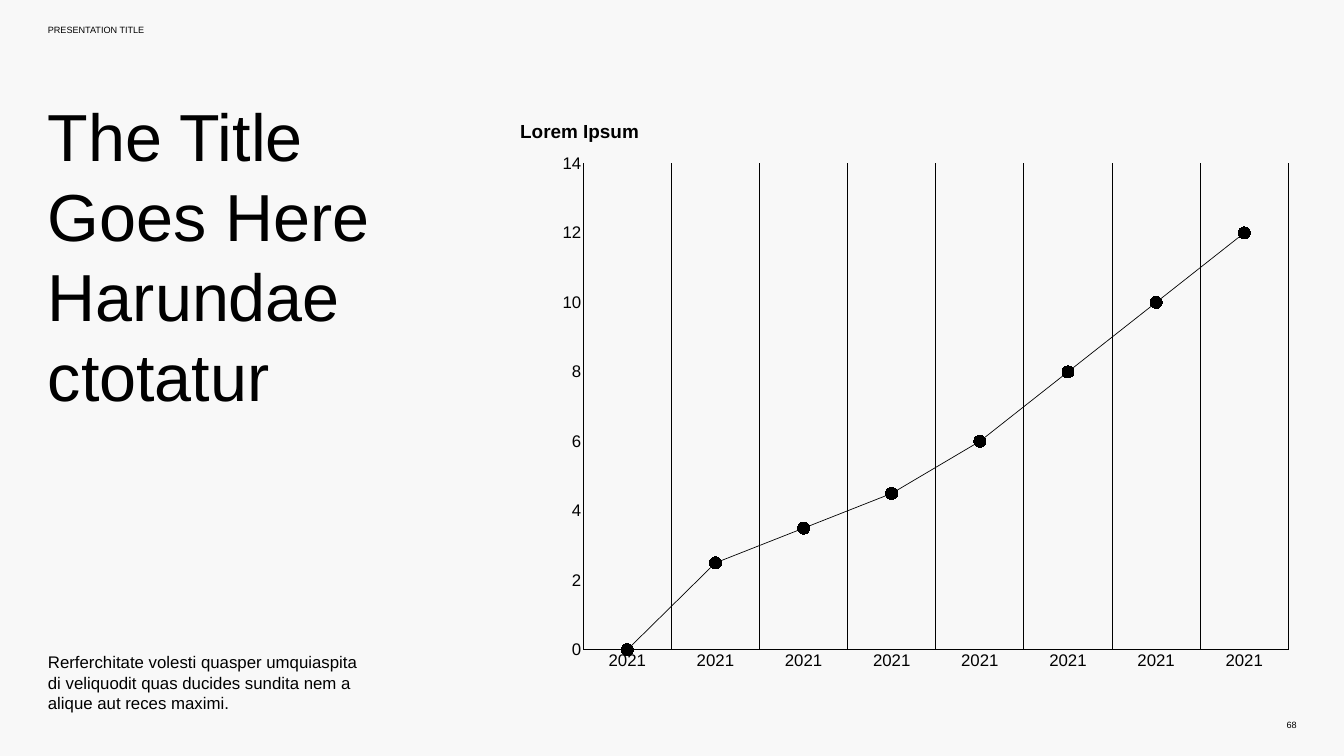
from dataclasses import dataclass

from lxml import etree
from pptx import Presentation
from pptx import util as u
from pptx.chart import data as chart_data
from pptx.dml import color
from pptx.enum import chart as charts, text
from pptx.oxml import ns


@dataclass(frozen=True)
class Theme:
    font: str = "Arial"
    ink: color.RGBColor = color.RGBColor(0, 0, 0)
    paper: color.RGBColor = color.RGBColor(0xF8, 0xF8, 0xF8)
    title: int = 95
    heading: int = 27
    body: int = 24
    small: int = 13


class SlideBuilder:
    def __init__(self, slide, theme):
        self.slide = slide
        self.theme = theme
        fill = slide.background.fill
        fill.solid()
        fill.fore_color.rgb = theme.paper

    def style_font(self, font, size, bold=False):
        font.name = self.theme.font
        font.size = u.Pt(size)
        font.bold = bold
        font.color.rgb = self.theme.ink

    def style_line(self, line, width):
        line.color.rgb = self.theme.ink
        line.width = u.Pt(width)

    def text_box(self, box, lines, size, bold=False,
                 anchor=text.MSO_ANCHOR.TOP, align=text.PP_ALIGN.LEFT):
        frame = self.slide.shapes.add_textbox(*map(u.Pt, box)).text_frame
        frame.word_wrap = True
        frame.vertical_anchor = anchor
        frame.margin_left = frame.margin_right = 0
        frame.margin_top = frame.margin_bottom = 0
        paragraph = frame.paragraphs[0]
        paragraph.alignment = align
        for index, words in enumerate(lines):
            if index:
                paragraph.add_line_break()
            run = paragraph.add_run()
            run.text = words
            self.style_font(run.font, size, bold)

    def line_chart(self, box, categories, name, values, plot):
        data = chart_data.CategoryChartData()
        data.categories = categories
        data.add_series(name, values)
        chart = self.slide.shapes.add_chart(
            charts.XL_CHART_TYPE.LINE_MARKERS, *map(u.Pt, box), data).chart
        chart.has_title = False
        chart.has_legend = False
        self.style_font(chart.font, self.theme.body)
        chart.plots[0].vary_by_categories = False
        self.place_plot(chart, plot)

        for axis in (chart.category_axis, chart.value_axis):
            axis.major_tick_mark = charts.XL_TICK_MARK.NONE
            axis.minor_tick_mark = charts.XL_TICK_MARK.NONE
            self.style_font(axis.tick_labels.font, self.theme.body)
        years, scale = chart.category_axis, chart.value_axis
        self.style_line(years.format.line, 0.75)
        years.has_major_gridlines = True
        self.style_line(years.major_gridlines.format.line, 1.5)
        scale.format.line.fill.background()
        scale.has_major_gridlines = False
        scale.minimum_scale, scale.maximum_scale, scale.major_unit = 0, 14, 2

        trend = chart.plots[0].series[0]
        trend.smooth = False
        self.style_line(trend.format.line, 1)
        trend.marker.style = charts.XL_MARKER_STYLE.CIRCLE
        trend.marker.size = 17
        trend.marker.format.fill.solid()
        trend.marker.format.fill.fore_color.rgb = self.theme.ink
        trend.marker.format.line.fill.background()

    def place_plot(self, chart, plot):
        area = chart.element.find(".//" + ns.qn("c:plotArea"))
        for old in area.findall(ns.qn("c:layout")):
            area.remove(old)
        layout = etree.Element(ns.qn("c:layout"))
        manual = etree.SubElement(layout, ns.qn("c:manualLayout"))
        settings = [("layoutTarget", "inner"), ("xMode", "edge"), ("yMode", "edge")]
        for tag, value in settings + list(zip("xywh", plot)):
            etree.SubElement(manual, ns.qn("c:" + tag)).set("val", str(value))
        area.insert(0, layout)


def main():
    deck = Presentation()
    deck.slide_width, deck.slide_height = u.Pt(1919.52), u.Pt(1080)
    theme = Theme()
    page = SlideBuilder(deck.slides.add_slide(deck.slide_layouts[6]), theme)
    margin, column = 68.4, 579.6

    page.text_box((margin, 136, column, 411), ["The Title Goes Here Harundae ctotatur"],
                  theme.title)
    page.text_box((margin, 564.5, column, 453.6),
                  ["Rerferchitate volesti quasper umquiaspita",
                   "di veliquodit quas ducides sundita nem a",
                   "alique aut reces maximi."],
                  theme.body, anchor=text.MSO_ANCHOR.BOTTOM)
    page.text_box((margin, 35.3, 648, 33.8), ["PRESENTATION TITLE"], theme.small)
    page.text_box((1770.5, 1021, 81.4, 30.2), ["68"], theme.small,
                  anchor=text.MSO_ANCHOR.MIDDLE, align=text.PP_ALIGN.RIGHT)
    page.line_chart((744.5, 210.2, 1106.6, 780.5), ["2021"] * 8, "Series 1",
                    (0, 2.5, 3.5, 4.5, 6, 8, 10, 12), (0.08, 0.03, 0.91, 0.89))
    page.text_box((743, 170.6, 782.6, 40.3), ["Lorem Ipsum"], theme.heading, bold=True)
    deck.save("out.pptx")


if __name__ == "__main__":
    main()
